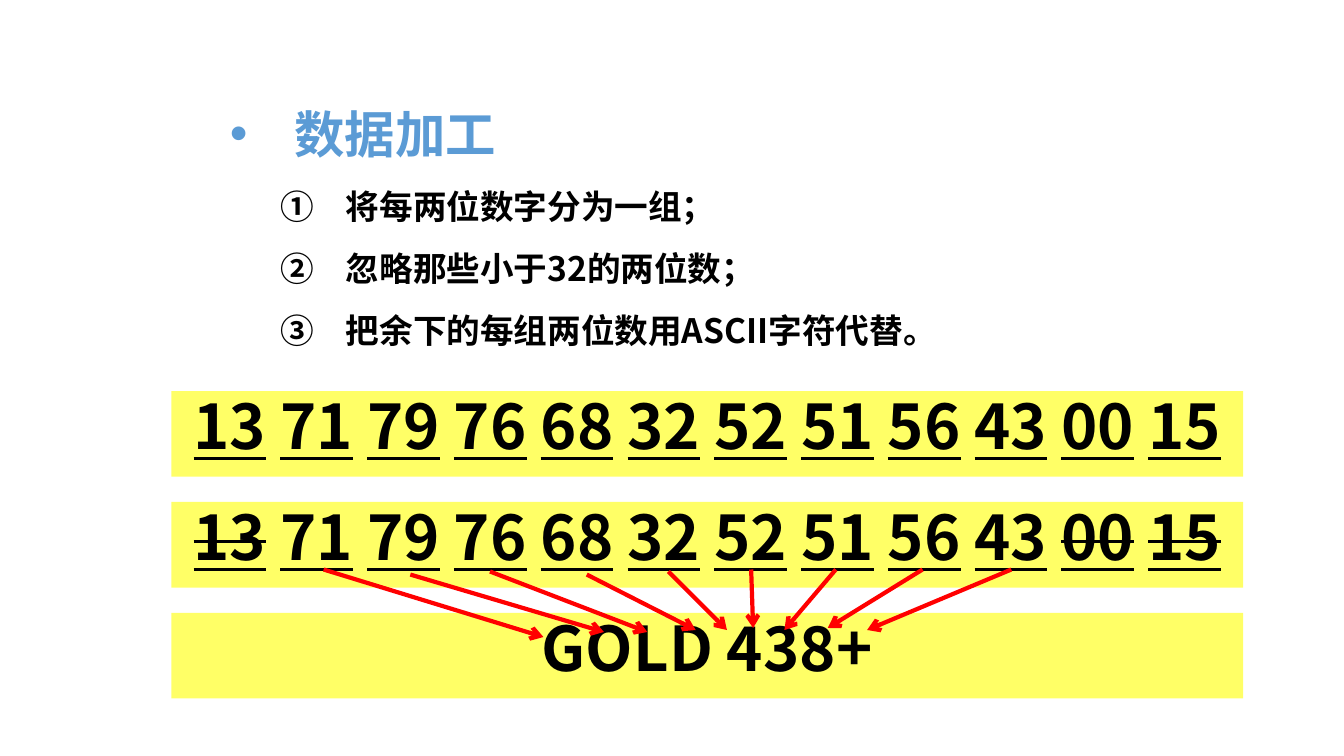
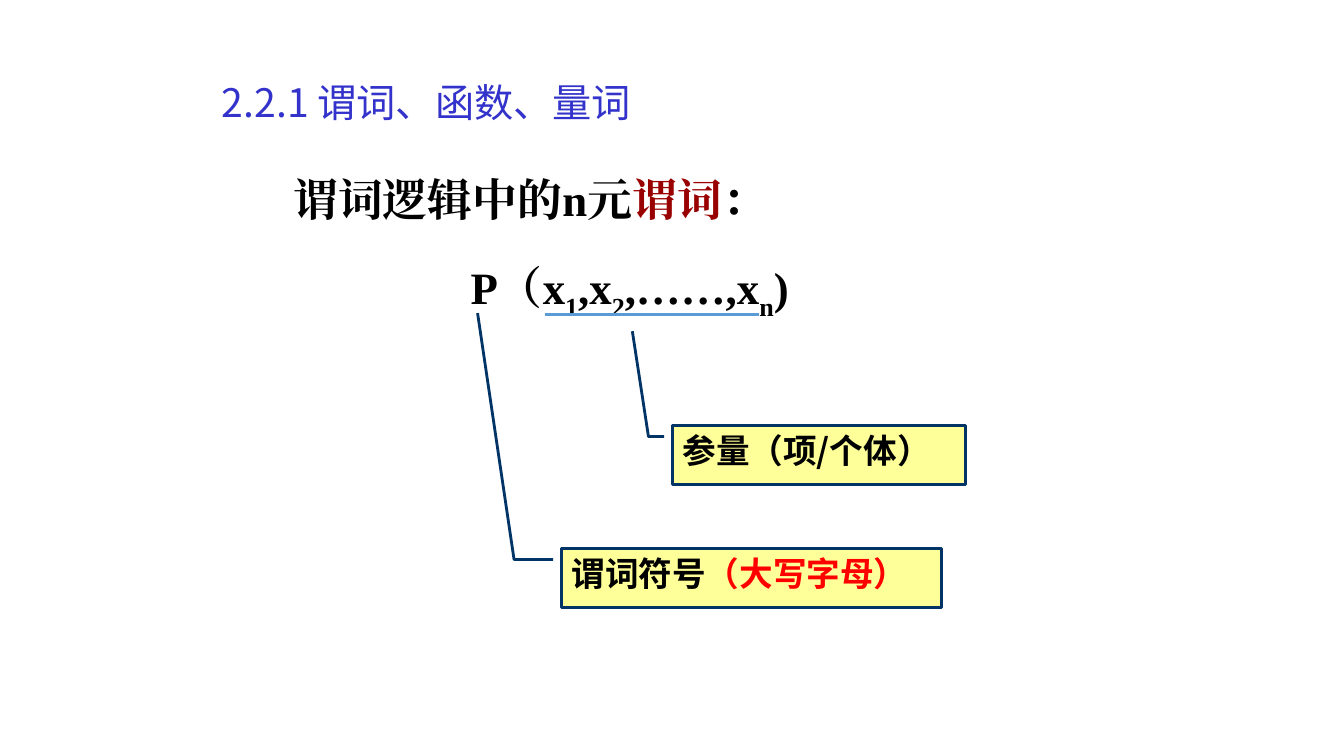
import pptx
import pptx.dml.color
import pptx.enum.shapes
import pptx.enum.text
import pptx.oxml
import pptx.oxml.ns
import pptx.util
from lxml import etree

Inches = pptx.util.Inches
Pt = pptx.util.Pt
qn = pptx.oxml.ns.qn
ALIGN = pptx.enum.text.PP_ALIGN
ANCHOR = pptx.enum.text.MSO_ANCHOR
SHAPE = pptx.enum.shapes.MSO_SHAPE
STRAIGHT = pptx.enum.shapes.MSO_CONNECTOR.STRAIGHT

SANS = "Noto Sans CJK SC"
SERIF = "Times New Roman"
BLACK, RED, BLUE = "000000", "FF0000", "5B9BD5"
NAVY, BAND_YELLOW, NOTE_YELLOW = "003366", "FFFF66", "FFFF99"


def paint(fill, color):
    fill.solid()
    fill.fore_color.rgb = pptx.dml.color.RGBColor.from_string(color)


def set_font(font, face, size, color=BLACK, bold=True):
    """Format a font, for Latin and East Asian text alike."""
    font.name = face
    font.size = Pt(size)
    font.bold = bold
    paint(font.fill, color)
    etree.SubElement(font._rPr, qn("a:ea"), typeface=face)


deck = pptx.Presentation()
deck.slide_width, deck.slide_height = Inches(13.33), Inches(7.5)
title_and_content = deck.slide_layouts[1]

# Slide 1: data processing
processing = deck.slides.add_slide(title_and_content)
unused_title = processing.shapes.title._element
unused_title.getparent().remove(unused_title)

steps = processing.placeholders[1]
steps.left, steps.top = Inches(2.18), Inches(0.79)
steps.width, steps.height = Inches(9), Inches(4.95)
steps.text_frame.auto_size = pptx.enum.text.MSO_AUTO_SIZE.NONE
steps.text_frame.text = "\n".join([
    "数据加工",
    "将每两位数字分为一组；",
    "忽略那些小于32的两位数；",
    "把余下的每组两位数用ASCII字符代替。",
])
for number, step in enumerate(steps.text_frame.paragraphs):
    heading = number == 0
    step.level = 0 if heading else 1
    step.line_spacing = 1.3
    step.space_before = Pt(0 if heading else 7.2)
    margin, hanging = (0.64, 0.64) if heading else (1.15, 0.65)
    layout = step._p.get_or_add_pPr()
    layout.set("marL", str(Inches(margin)))
    layout.set("indent", str(-Inches(hanging)))
    if heading:
        etree.SubElement(layout, qn("a:buChar"), char="•")
        set_font(step.font, SANS, 36, BLUE)
    else:
        etree.SubElement(layout, qn("a:buAutoNum"), type="circleNumDbPlain")
        set_font(step.font, SANS, 24)

pairs = "13 71 79 76 68 32 52 51 56 43 00 15".split()
ignored = {"13", "00", "15"}
bands = [(pairs, set()), (pairs, ignored), (["GOLD 438+"], set())]
for row, (groups, struck) in enumerate(bands):
    band = processing.shapes.add_shape(
        SHAPE.RECTANGLE, Inches(1.7), Inches(3.88 + 1.1 * row), Inches(10.63), Inches(0.85))
    band.shadow.inherit = False
    paint(band.fill, BAND_YELLOW)
    band.line.fill.background()
    band.text_frame.word_wrap = True
    band.text_frame.vertical_anchor = ANCHOR.TOP
    line = band.text_frame.paragraphs[0]
    line.alignment = ALIGN.CENTER
    line.line_spacing = 0.9
    set_font(line.font, SANS, 44)
    for position, group in enumerate(groups):
        if position:
            line.add_run().text = " "
        run = line.add_run()
        run.text = group
        if groups is pairs:
            run.font.underline = True
        if group in struck:
            run._r.get_or_add_rPr().set("strike", "sngStrike")

arrows = [
    (3.21, 5.65, 5.39, 6.32), (4.07, 5.7, 5.99, 6.27), (4.86, 5.67, 6.42, 6.27),
    (5.82, 5.7, 6.9, 6.25), (6.63, 5.67, 7.21, 6.25), (7.45, 5.65, 7.47, 6.23),
    (8.29, 5.65, 7.78, 6.25), (9.15, 5.65, 8.21, 6.23), (10.03, 5.65, 8.6, 6.25),
]
for ends in arrows:
    arrow = processing.shapes.add_connector(STRAIGHT, *map(Inches, ends))
    paint(arrow.line.fill, RED)
    arrow.line.width = Pt(3)
    etree.SubElement(arrow.line._get_or_add_ln(), qn("a:tailEnd"), type="arrow")
    etree.SubElement(arrow._element.spPr, qn("a:effectLst"))

# Slide 2: predicates
predicates = deck.slides.add_slide(title_and_content)
title = predicates.shapes.title
title.left, title.top, title.width, title.height = map(Inches, (2.1, 0.68, 9, 0.71))
title.text_frame.text = "2.2.1 谓词、函数、量词"
title.text_frame.vertical_anchor = ANCHOR.MIDDLE
heading = title.text_frame.paragraphs[0]
heading.alignment = ALIGN.LEFT
heading.line_spacing = 0.9
set_font(heading.font, SANS, 28, "3333CC", bold=False)

formula = predicates.placeholders[1]
formula.left, formula.top, formula.width, formula.height = map(Inches, (4.23, 2.41, 4.03, 0.85))
formula.text_frame.auto_size = pptx.enum.text.MSO_AUTO_SIZE.NONE
terms = formula.text_frame.paragraphs[0]
terms.alignment = ALIGN.CENTER
terms.line_spacing = 1.2
terms.space_before = Pt(0)
layout = terms._p.get_or_add_pPr()
layout.set("marL", "0")
layout.set("indent", "0")
etree.SubElement(layout, qn("a:buNone"))
set_font(terms.font, SERIF, 32)
for position, term in enumerate(["P（x", "1", ",x", "2", ",……,x", "n", ")"]):
    run = terms.add_run()
    run.text = term
    if position % 2:
        run._r.get_or_add_rPr().set("baseline", "-25000")

lead = predicates.shapes.add_textbox(Inches(2.81), Inches(1.55), Inches(5.35), Inches(0.85))
lead.text_frame.word_wrap = True
sentence = lead.text_frame.paragraphs[0]
sentence.line_spacing = 1.2
set_font(sentence.font, SERIF, 32)
for words, color in [("谓词逻辑中的n元", BLACK), ("谓词", "990000"), ("：", BLACK)]:
    run = sentence.add_run()
    run.text = words
    paint(run.font.fill, color)

callouts = [
    ((5.57, 5.44, 3.77, 0.59), (0.188, -0.022, 0.188, -0.125, -3.954, -0.221),
     [("谓词符号", BLACK), ("（大写字母）", RED)]),
    ((6.67, 4.22, 2.91, 0.59), (0.188, -0.029, 0.188, -0.082, -1.583, -0.137),
     [("参量（项/个体）", BLACK)]),
]
for box, leader, parts in callouts:
    callout = predicates.shapes.add_shape(SHAPE.LINE_CALLOUT_2, *map(Inches, box))
    for index, value in enumerate(leader):
        callout.adjustments[index] = value
    callout.shadow.inherit = False
    paint(callout.fill, NOTE_YELLOW)
    paint(callout.line.fill, NAVY)
    callout.line.width = Pt(2)
    callout.text_frame.word_wrap = True
    callout.text_frame.vertical_anchor = ANCHOR.TOP
    label = callout.text_frame.paragraphs[0]
    label.alignment = ALIGN.LEFT
    set_font(label.font, SANS, 24)
    for words, color in parts:
        run = label.add_run()
        run.text = words
        paint(run.font.fill, color)

underline = predicates.shapes.add_connector(STRAIGHT, *map(Inches, (5.41, 3.12, 7.53, 3.12)))
paint(underline.line.fill, BLUE)
underline.line.width = Pt(2.25)
etree.SubElement(underline._element.spPr, qn("a:effectLst"))

deck.save("out.pptx")
